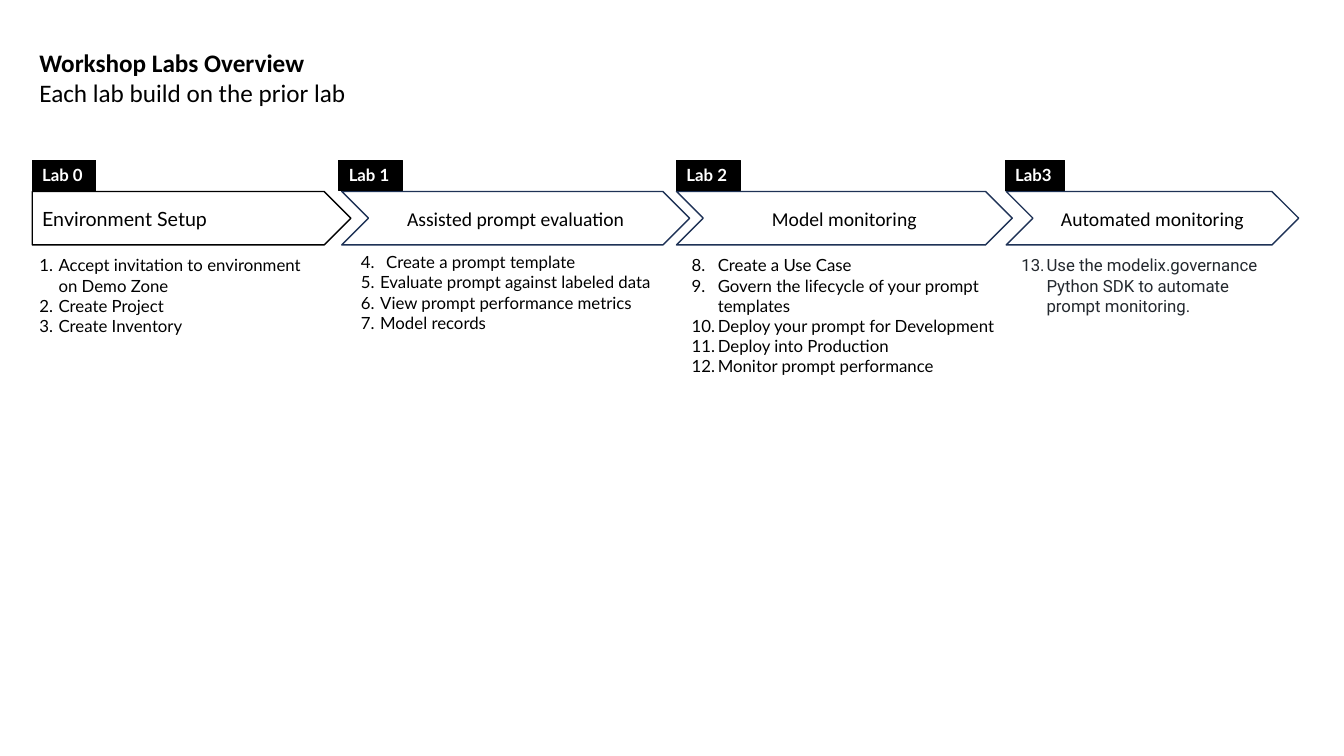
from dataclasses import dataclass

from lxml import etree
from pptx import Presentation
from pptx import util as u
from pptx.dml.color import RGBColor
from pptx.enum import shapes, text
from pptx.oxml import ns


@dataclass(frozen=True)
class Theme:
    ink: str = "000000"
    paper: str = "FFFFFF"
    navy: str = "1E3256"
    slate: str = "24292F"
    heading: int = 18
    stage: int = 14
    body: int = 12
    plain: str = "Calibri"
    main: str = "Lato"
    code: str = "Roboto"


@dataclass(frozen=True)
class Lab:
    tag: str
    tag_left: float
    tag_width: float
    stage: str
    left: float
    width: float
    list_left: float
    list_top: float
    list_width: float
    first_number: int
    steps: tuple
    indents: tuple
    face: str = "Lato"
    color: str = "000000"
    tab: float = 0


THEME = Theme()
SLIDE_WIDTH, SLIDE_HEIGHT = u.Inches(13.33), u.Inches(7.5)
STAGE_TOP, STAGE_HEIGHT = 25.33, 7.07
TAG_TOP, TAG_HEIGHT = 21.2, 4.05
LINE_HEIGHT, LIST_PADDING = 2.67, 1.4

LABS = (
    Lab("Lab 0", 2.4, 4.73, "Environment Setup", 2.4, 23.71, 2.18, 33.07, 21.76, 1,
        ("Accept invitation to environment on Demo Zone", "Create Project",
         "Create Inventory"), (0.19,) * 3),
    Lab("Lab 1", 25.21, 4.73, "Assisted prompt evaluation", 25.43, 25.88, 26.11, 32.67, 24.16, 4,
        ("Create a prompt template", "Evaluate prompt against labeled data",
         "View prompt performance metrics", "Model records"), (0.25, 0.19, 0.19, 0.19)),
    Lab("Lab 2", 50.34, 4.73, "Model monitoring", 50.34, 24.98, 50.71, 33.07, 24.16, 8,
        ("Create a Use Case", "Govern the lifecycle of your prompt templates",
         "Deploy your prompt for Development", "Deploy into Production",
         "Monitor prompt performance"), (0.26,) * 5, tab=0.24),
    Lab("Lab3", 74.79, 4.43, "Automated monitoring", 74.87, 21.76, 75.24, 33.07, 19.73, 13,
        ("Use the modelix.governance Python SDK to automate prompt monitoring.",),
        (0.25,), THEME.code, THEME.slate),
)


def share(left, top, width, height):
    return (round(SLIDE_WIDTH * left / 100), round(SLIDE_HEIGHT * top / 100),
            round(SLIDE_WIDTH * width / 100), round(SLIDE_HEIGHT * height / 100))


def move(placeholder, box):
    placeholder.left, placeholder.top, placeholder.width, placeholder.height = box


def style(paragraph, face, size, color, bold=False, align=text.PP_ALIGN.LEFT):
    paragraph.alignment = align
    paragraph.space_before = u.Pt(0)
    font = paragraph.font
    font.name, font.size, font.bold = face, u.Pt(size), bold
    font.color.rgb = RGBColor.from_string(color)


def frame_text(frame, lines, wrap=True, anchor=text.MSO_ANCHOR.TOP, grow=True):
    frame.text = "\n".join(lines)
    frame.word_wrap = wrap
    frame.vertical_anchor = anchor
    frame.auto_size = (text.MSO_AUTO_SIZE.SHAPE_TO_FIT_TEXT if grow
                       else text.MSO_AUTO_SIZE.NONE)
    return frame.paragraphs


def number(paragraph, start, indent, face, tab):
    properties = paragraph._p.get_or_add_pPr()
    properties.set("marL", str(u.Inches(indent)))
    properties.set("indent", str(-u.Inches(indent)))
    etree.SubElement(properties, ns.qn("a:buFont"), typeface=face)
    etree.SubElement(properties, ns.qn("a:buAutoNum"), type="arabicPeriod", startAt=str(start))
    if tab:
        stops = etree.SubElement(properties, ns.qn("a:tabLst"))
        etree.SubElement(stops, ns.qn("a:tab"), pos=str(u.Inches(tab)), algn="l")


def add_heading(slide):
    heading = slide.shapes.title
    move(heading, share(2.18, 5.6, 24.61, 9.47))
    topic, summary = frame_text(
        heading.text_frame,
        ("Workshop Labs Overview", "Each lab build on the prior lab"), wrap=False)
    style(topic, THEME.plain, THEME.heading, THEME.ink, bold=True)
    style(summary, THEME.plain, THEME.heading, THEME.ink)


def add_outline(slide, preset, box, line_color, line_width):
    outline = slide.shapes.add_shape(preset, *box)
    outline.shadow.inherit = False
    outline.fill.background()
    outline.line.color.rgb = RGBColor.from_string(line_color)
    outline.line.width = u.Pt(line_width)
    return outline


def add_stage(slide, lab, is_first):
    preset = shapes.MSO_SHAPE.PENTAGON if is_first else shapes.MSO_SHAPE.CHEVRON
    stage = add_outline(slide, preset, share(lab.left, STAGE_TOP, lab.width, STAGE_HEIGHT),
                        THEME.ink if is_first else THEME.navy, 1)
    label, = frame_text(stage.text_frame, (lab.stage,),
                        anchor=text.MSO_ANCHOR.MIDDLE, grow=False)
    style(label, THEME.main if is_first else THEME.plain, THEME.stage, THEME.ink,
          align=text.PP_ALIGN.LEFT if is_first else text.PP_ALIGN.CENTER)


def add_tag(slide, lab):
    tag = add_outline(slide, shapes.MSO_SHAPE.RECTANGLE,
                      share(lab.tag_left, TAG_TOP, lab.tag_width, TAG_HEIGHT), THEME.ink, 0.75)
    tag.fill.solid()
    tag.fill.fore_color.rgb = RGBColor.from_string(THEME.ink)
    label, = frame_text(tag.text_frame, (lab.tag,), wrap=False)
    style(label, THEME.main, THEME.body, THEME.paper, bold=True)


def fill_steps(placeholder, lab):
    height = LINE_HEIGHT * (len(lab.steps) + 1) + LIST_PADDING
    move(placeholder, share(lab.list_left, lab.list_top, lab.list_width, height))
    steps = frame_text(placeholder.text_frame, lab.steps)
    for step, indent in zip(steps, lab.indents):
        number(step, lab.first_number, indent, lab.face, lab.tab)
        style(step, lab.face, THEME.body, lab.color)


def main():
    deck = Presentation()
    deck.slide_width, deck.slide_height = SLIDE_WIDTH, SLIDE_HEIGHT
    slide = deck.slides.add_slide(deck.slide_layouts.get_by_name("Comparison"))
    add_heading(slide)
    bodies = list(slide.placeholders)[1:]
    for position, (lab, body) in enumerate(zip(LABS, bodies)):
        add_stage(slide, lab, position == 0)
        add_tag(slide, lab)
        fill_steps(body, lab)
    deck.save("out.pptx")


if __name__ == "__main__":
    main()
